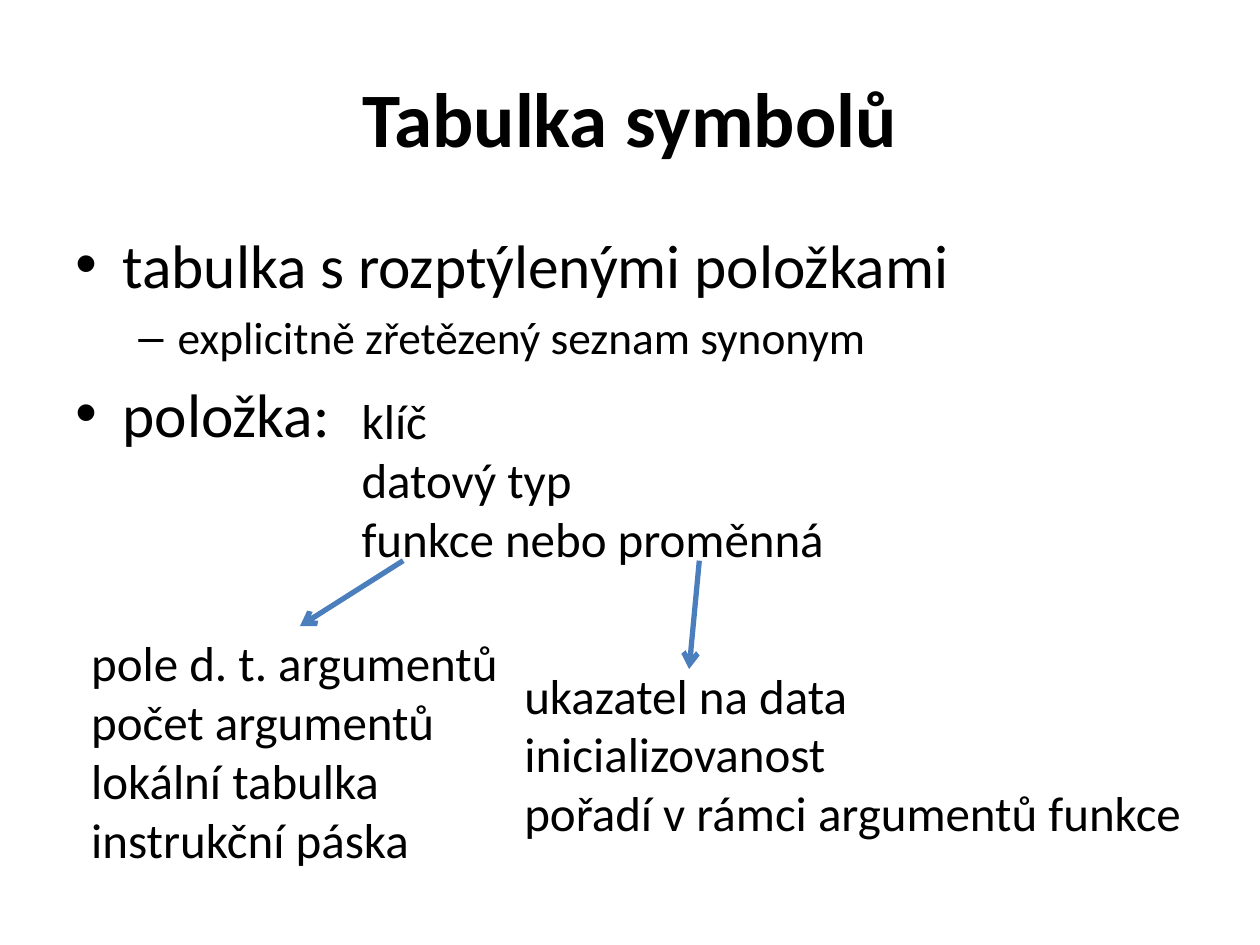
from dataclasses import dataclass

from lxml import etree
from pptx import Presentation
from pptx.dml.color import RGBColor
from pptx.enum.shapes import MSO_CONNECTOR
from pptx.enum.text import MSO_ANCHOR, PP_ALIGN
from pptx.oxml.ns import qn
from pptx.util import Pt

STRAIGHT = MSO_CONNECTOR.STRAIGHT
MIDDLE, TOP = MSO_ANCHOR.MIDDLE, MSO_ANCHOR.TOP
CENTER, LEFT = PP_ALIGN.CENTER, PP_ALIGN.LEFT


@dataclass(frozen=True)
class Theme:
    font: str = "Calibri"
    ink: RGBColor = RGBColor(0x00, 0x00, 0x00)
    arrow: RGBColor = RGBColor(0x4B, 0x7E, 0xBC)
    arrow_width: float = 3
    title: float = 44
    bullet: float = 35.1
    sub_bullet: float = 25.9
    detail: float = 28


THEME = Theme()

# Per outline level: mark, text size, left margin, hanging indent, space before
LEVELS = (
    ("•", THEME.bullet, 27, -27, 7),
    ("–", THEME.sub_bullet, 58.5, -22.5, 5),
)


def set_indent(para, margin, indent=0):
    properties = para._p.get_or_add_pPr()
    properties.set("marL", str(Pt(margin)))
    properties.set("indent", str(Pt(indent)))
    return properties


def style_para(para, size, bold=False, align=LEFT):
    para.alignment = align
    for span in para.runs:
        span.font.name = THEME.font
        span.font.size = Pt(size)
        span.font.bold = bold
        span.font.color.rgb = THEME.ink


def add_text(page, area, lines, anchor=TOP):
    box = page.shapes.add_textbox(*map(Pt, area))
    frame = box.text_frame
    frame.word_wrap = True
    frame.vertical_anchor = anchor
    frame.text = "\n".join(lines)
    return frame.paragraphs


def add_title(page, area, text):
    for para in add_text(page, area, [text], MIDDLE):
        style_para(para, THEME.title, bold=True, align=CENTER)


def add_outline(page, area, items):
    paras = add_text(page, area, [text for _, text in items])
    for para, (level, _) in zip(paras, items):
        mark, size, margin, indent, before = LEVELS[level]
        style_para(para, size)
        para.level = level
        para.space_before = Pt(before)
        properties = set_indent(para, margin, indent)
        etree.SubElement(properties, qn("a:buFont"), typeface="Arial")
        etree.SubElement(properties, qn("a:buChar"), char=mark)


def add_details(page, area, lines, margin=0):
    for para in add_text(page, area, lines):
        style_para(para, THEME.detail)
        set_indent(para, margin)


def add_arrow(page, start, end):
    arrow = page.shapes.add_connector(STRAIGHT, *map(Pt, start + end))
    arrow.line.color.rgb = THEME.arrow
    arrow.line.width = Pt(THEME.arrow_width)
    etree.SubElement(arrow.line._get_or_add_ln(), qn("a:tailEnd"), type="arrow")
    etree.SubElement(arrow._element.spPr, qn("a:effectLst"))


def add_symbol_table_slide(deck):
    page = deck.slides.add_slide(deck.slide_layouts[6])

    # Heading and outline
    add_title(page, (36, 21.6, 648, 90), "Tabulka symbolů")
    add_outline(page, (36, 126, 648, 116), [
        (0, "tabulka s\u00a0rozptýlenými položkami"),
        (1, "explicitně zřetězený seznam synonym"),
        (0, "položka:"),
    ])

    # Parts of an entry, then those of a variable and of a function
    add_details(page, (163.5, 219.6, 326, 109),
                ["klíč", "datový typ", "funkce nebo proměnná"], margin=36)
    add_details(page, (292.5, 376.5, 394, 109),
                ["ukazatel na data", "inicializovanost",
                 "pořadí v rámci argumentů funkce"])
    add_details(page, (45, 358, 253, 143),
                ["pole d. t. argumentů", "počet argumentů",
                 "lokální tabulka", "instrukční páska"])

    # Arrows from the entry to its two kinds
    add_arrow(page, (399.6, 320.4), (393.8, 382.3))
    add_arrow(page, (230.4, 320.4), (171.4, 357.8))


deck = Presentation()
deck.slide_width, deck.slide_height = Pt(720), Pt(540)
add_symbol_table_slide(deck)
deck.save("out.pptx")
